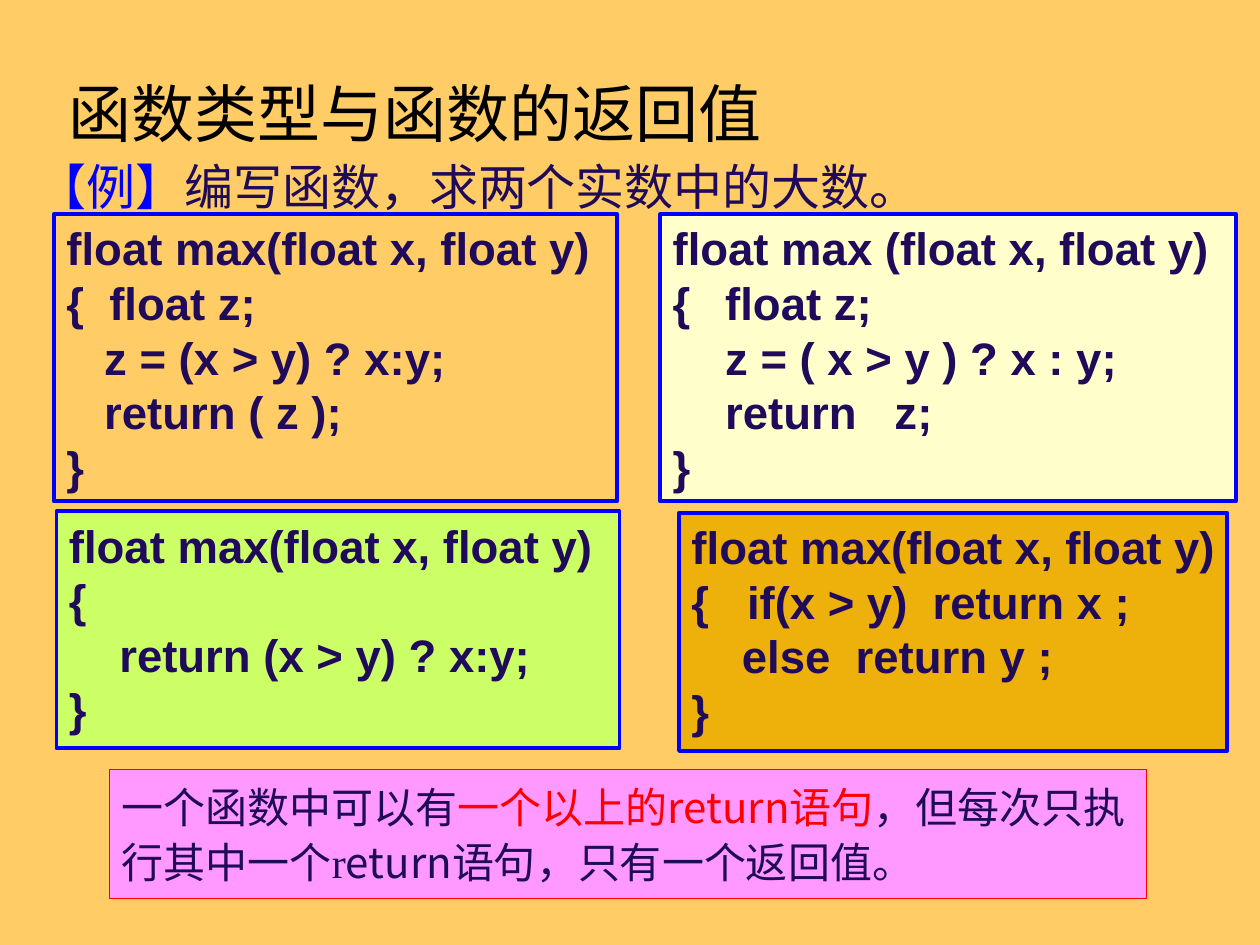
from dataclasses import dataclass
from typing import Optional

from lxml import etree
from pptx import Presentation
from pptx.dml.color import RGBColor
from pptx.enum.shapes import MSO_SHAPE
from pptx.enum.text import MSO_ANCHOR, PP_ALIGN
from pptx.oxml.ns import qn
from pptx.util import Cm, Pt

RECT = MSO_SHAPE.RECTANGLE
TOP, MIDDLE = MSO_ANCHOR.TOP, MSO_ANCHOR.MIDDLE
LEFT = PP_ALIGN.LEFT

ORANGE = RGBColor(0xFF, 0xCC, 0x66)
BLACK = RGBColor(0x00, 0x00, 0x00)
NAVY = RGBColor(0x20, 0x0B, 0x5B)
BLUE = RGBColor(0x00, 0x00, 0xFF)
RED = RGBColor(0xFF, 0x00, 0x00)
PINK = RGBColor(0xFF, 0x99, 0xFF)
LIME = RGBColor(0xCC, 0xFF, 0x66)
CREAM = RGBColor(0xFF, 0xFF, 0xCC)
GOLD = RGBColor(0xEE, 0xB0, 0x0B)

CJK = "Noto Sans CJK SC"
SERIF = "Times New Roman"
CODE = "Arial"


@dataclass
class Box:
    left: float
    top: float
    width: float
    height: float


@dataclass
class Run:
    text: str
    color: RGBColor = NAVY
    font: str = CJK


@dataclass
class CodeBox:
    box: Box
    fill: Optional[RGBColor]
    wrap: bool
    lines: list[str]


CODE_BOXES = [
    CodeBox(Box(1.09, 4.32, 11.35, 5.79), None, True, [
        "float max(float x, float y)",
        "{  float z;",
        "   z = (x > y) ? x:y;",
        "   return ( z );",
        "}",
    ]),
    CodeBox(Box(13.31, 4.32, 11.61, 5.79), CREAM, True, [
        "float max (float x, float y)",
        "{\tfloat z;",
        "\tz = ( x > y ) ? x : y;",
        "\treturn   z;",
        "}",
    ]),
    CodeBox(Box(1.14, 10.31, 11.35, 4.78), LIME, False, [
        "float max(float x, float y)",
        "{",
        "    return (x > y) ? x:y;",
        "}",
    ]),
    CodeBox(Box(13.69, 10.34, 11.05, 4.8), GOLD, False, [
        "float max(float x, float y)",
        "{   if(x > y)  return x ;",
        "    else  return y ;",
        "}",
    ]),
]


def place(box: Box) -> tuple:
    return Cm(box.left), Cm(box.top), Cm(box.width), Cm(box.height)


def add_run(p, run: Run, size: float, bold: bool = False) -> None:
    r = p.add_run()
    r.text = run.text
    r.font.size = Pt(size)
    r.font.bold = bold
    r.font.color.rgb = run.color
    r.font.name = run.font
    if run.font != CODE:
        ea = etree.SubElement(r.font._element, qn("a:ea"))
        ea.set("typeface", CJK)


def add_rect(s, box: Box, fill: Optional[RGBColor], line: RGBColor, weight: float):
    sp = s.shapes.add_shape(RECT, *place(box))
    sp.shadow.inherit = False
    if fill is None:
        sp.fill.background()
    else:
        sp.fill.solid()
        sp.fill.fore_color.rgb = fill
    sp.line.color.rgb = line
    sp.line.width = Pt(weight)
    return sp


def write_line(sp, runs: list[Run], size: float, anchor=TOP, spacing: float = 1.0) -> None:
    tf = sp.text_frame
    tf.word_wrap = True
    tf.vertical_anchor = anchor
    p = tf.paragraphs[0]
    p.alignment = LEFT
    p.line_spacing = spacing
    for run in runs:
        add_run(p, run, size)


def add_code(s, code: CodeBox) -> None:
    sp = add_rect(s, code.box, code.fill, BLUE, 2.25)
    tf = sp.text_frame
    tf.word_wrap = code.wrap
    tf.vertical_anchor = TOP
    for i, line in enumerate(code.lines):
        p = tf.add_paragraph() if i else tf.paragraphs[0]
        if "\t" in line:
            tabs = etree.SubElement(p._p.get_or_add_pPr(), qn("a:tabLst"))
            etree.SubElement(tabs, qn("a:tab"), pos=str(Cm(1.06)), algn="l")
        p.alignment = LEFT
        p.line_spacing = 1.0
        add_run(p, Run(line, font=CODE), 26, bold=True)


def main() -> None:
    prs = Presentation()
    prs.slide_width, prs.slide_height = Cm(25.4), Cm(19.05)
    s = prs.slides.add_slide(prs.slide_layouts[6])
    s.background.fill.solid()
    s.background.fill.fore_color.rgb = ORANGE

    title = s.shapes.add_textbox(*place(Box(1.14, 1.35, 22.86, 1.83)))
    write_line(title, [Run("函数类型与函数的返回值", BLACK)], 36, MIDDLE)

    note = add_rect(s, Box(2.21, 15.52, 20.9, 2.59), PINK, RED, 0.75)
    write_line(note, [
        Run("一个函数中可以有"),
        Run("一个以上的return语句", RED),
        Run("，但"),
        Run("每次只执行其中一个r", font=SERIF),
        Run("eturn"),
        Run("语句，只有一个返回值。", font=SERIF),
    ], 24, spacing=1.1)

    example = s.shapes.add_textbox(*place(Box(0.51, 2.92, 23.39, 1.4)))
    write_line(example, [Run("【例】", BLUE), Run("编写函数，求两个实数中的大数。")], 28, spacing=1.1)

    for code in CODE_BOXES:
        add_code(s, code)

    prs.save("out.pptx")


if __name__ == "__main__":
    main()
